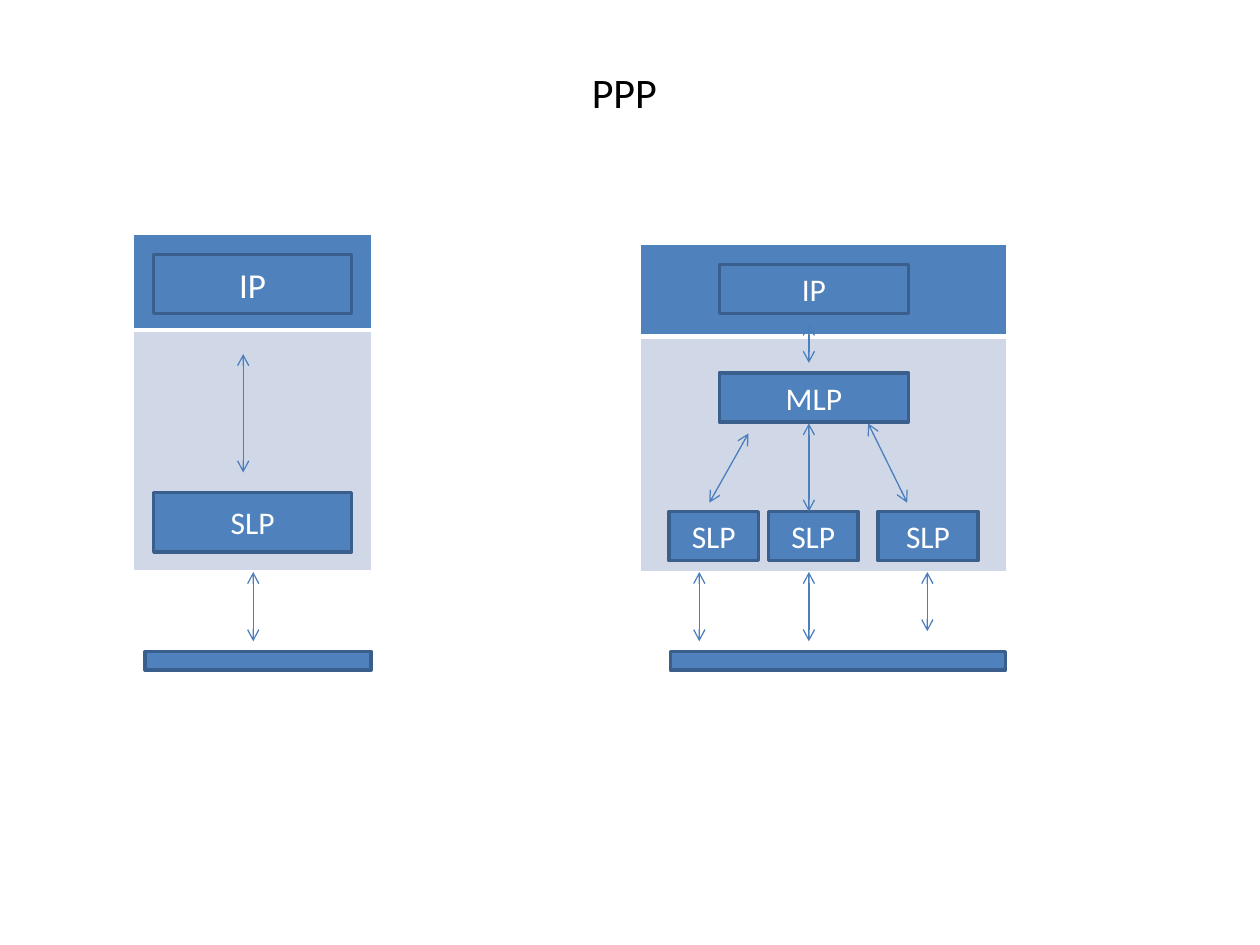
from typing import NamedTuple

from lxml import etree
from pptx import Presentation
from pptx.dml.color import RGBColor
from pptx.enum.shapes import MSO_CONNECTOR, MSO_SHAPE
from pptx.enum.text import MSO_ANCHOR, PP_ALIGN
from pptx.oxml.ns import qn
from pptx.util import Inches, Pt

RECTANGLE = MSO_SHAPE.RECTANGLE
MINUS = MSO_SHAPE.MATH_MINUS
STRAIGHT = MSO_CONNECTOR.STRAIGHT
CENTER = PP_ALIGN.CENTER
MIDDLE = MSO_ANCHOR.MIDDLE

TITLE_ONLY = 5
FONT = "Calibri"
COLORS = {
    "box": "4F81BD",
    "outline": "3A5F8C",
    "arrow": "4B7EBC",
    "panel": "D0D8E8",
    "white": "FFFFFF",
    "black": "000000",
}

COLUMNS, ROWS = 100, 75
SLIDE_WIDTH, SLIDE_HEIGHT = Inches(10), Inches(7.5)

BOX_HEIGHT = 3.9
TALL_BOX_HEIGHT = 4.7
LINK_ROW = 40.6
STACK_BOTTOM = 45.4
MEDIUM_ROW, MEDIUM_HEIGHT = 49.3, 6.3
MULTILINK_CENTER = 64.2


class Stack(NamedTuple):
    column: float
    row: float
    width: float
    heights: tuple[float, float]


class Box(NamedTuple):
    column: float
    row: float
    width: float
    height: float
    label: str = ""
    size: int = 18


class Arrow(NamedTuple):
    start_column: float
    start_row: float
    end_column: float
    end_row: float


STACKS = [
    Stack(10.6, 18.6, 18.9, (7.6, 19.1)),
    Stack(50.8, 19.4, 29.1, (7.3, 18.7)),
]
BOXES = [
    Box(12.2, 20.2, 15.7, TALL_BOX_HEIGHT, "IP", 20),
    Box(12.2, 39.1, 15.7, TALL_BOX_HEIGHT, "SLP"),
    Box(57.1, 21, 15, BOX_HEIGHT, "IP"),
    Box(57.1, 29.6, 15, BOX_HEIGHT, "MLP"),
] + [
    Box(column, LINK_ROW, width, BOX_HEIGHT, "SLP")
    for column, width in [(53.1, 7.1), (61, 7.1), (69.7, 7.9)]
]
MEDIUMS = [
    Box(column, MEDIUM_ROW, width, MEDIUM_HEIGHT)
    for column, width in [(8.3, 24.4), (48.4, 36.2)]
]
ARROWS = [
    Arrow(19.3, 28.1, 19.3, 37.5),
    Arrow(MULTILINK_CENTER, 25.7, MULTILINK_CENTER, 28.8),
    Arrow(59.4, 34.4, 56.3, 39.9),
    Arrow(MULTILINK_CENTER, 33.6, MULTILINK_CENTER, LINK_ROW),
    Arrow(68.9, 33.6, 72, 39.9),
] + [
    Arrow(column, STACK_BOTTOM, column, end_row)
    for column, end_row in [
        (20.1, 50.9), (55.5, 50.9), (MULTILINK_CENTER, 50.9), (73.6, 50.1)
    ]
]


def across(columns: float) -> int:
    return round(SLIDE_WIDTH * columns / COLUMNS)


def down(rows: float) -> int:
    return round(SLIDE_HEIGHT * rows / ROWS)


def color(name: str) -> RGBColor:
    return RGBColor.from_string(COLORS[name])


def write(text_frame, text: str, size: int, color_name: str) -> None:
    text_frame.word_wrap = True
    text_frame.vertical_anchor = MIDDLE
    paragraph = text_frame.paragraphs[0]
    paragraph.alignment = CENTER
    run = paragraph.add_run()
    run.text = text
    run.font.name = FONT
    run.font.size = Pt(size)
    run.font.color.rgb = color(color_name)


def set_borders(cell, bottom_width: float) -> None:
    properties = cell._tc.get_or_add_tcPr()
    widths = {"a:lnL": 1, "a:lnR": 1, "a:lnT": 1, "a:lnB": bottom_width}
    for position, (tag, width) in enumerate(widths.items()):
        border = etree.Element(qn(tag), w=str(Pt(width)))
        fill = etree.SubElement(border, qn("a:solidFill"))
        etree.SubElement(fill, qn("a:srgbClr"), val=COLORS["white"])
        properties.insert(position, border)


def draw_stack(slide, stack: Stack) -> None:
    table = slide.shapes.add_table(
        2, 1, across(stack.column), down(stack.row),
        across(stack.width), down(sum(stack.heights)),
    ).table
    layers = zip(stack.heights, ("box", "panel"), (3, 1))
    for index, (height, fill_name, bottom_width) in enumerate(layers):
        table.rows[index].height = down(height)
        cell = table.cell(index, 0)
        cell.fill.solid()
        cell.fill.fore_color.rgb = color(fill_name)
        set_borders(cell, bottom_width)


def draw_box(slide, box: Box, preset=RECTANGLE) -> None:
    shape = slide.shapes.add_shape(
        preset, across(box.column), down(box.row),
        across(box.width), down(box.height),
    )
    shape.shadow.inherit = False
    shape.fill.solid()
    shape.fill.fore_color.rgb = color("box")
    shape.line.color.rgb = color("outline")
    shape.line.width = Pt(2)
    if box.label:
        write(shape.text_frame, box.label, box.size, "white")


def draw_arrow(slide, arrow: Arrow) -> None:
    connector = slide.shapes.add_connector(
        STRAIGHT, across(arrow.start_column), down(arrow.start_row),
        across(arrow.end_column), down(arrow.end_row),
    )
    connector.line.color.rgb = color("arrow")
    connector.line.width = Pt(0.75)
    line = connector.line._get_or_add_ln()
    for tag in ("a:headEnd", "a:tailEnd"):
        etree.SubElement(line, qn(tag), type="arrow")
    etree.SubElement(connector._element.spPr, qn("a:effectLst"))


def main() -> None:
    presentation = Presentation()
    presentation.slide_width = SLIDE_WIDTH
    presentation.slide_height = SLIDE_HEIGHT
    slide = presentation.slides.add_slide(presentation.slide_layouts[TITLE_ONLY])

    title = slide.shapes.title
    title.left, title.top = across(5), down(3)
    title.width, title.height = across(89.1), down(8.5)
    write(title.text_frame, "PPP", 24, "black")

    for stack in STACKS:
        draw_stack(slide, stack)
    for box in BOXES:
        draw_box(slide, box)
    for medium in MEDIUMS:
        draw_box(slide, medium, MINUS)
    for arrow in ARROWS:
        draw_arrow(slide, arrow)

    presentation.save("out.pptx")


if __name__ == "__main__":
    main()
